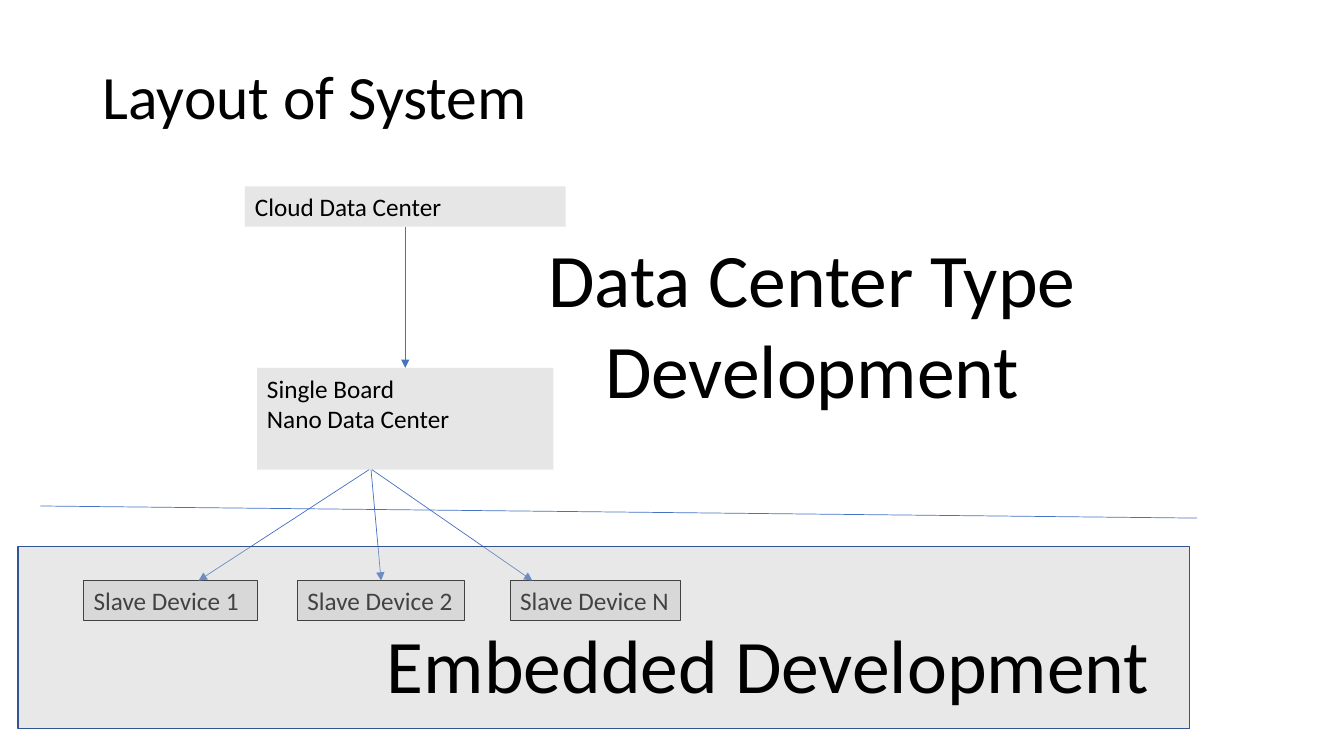
"""Build the slide that shows the layout of the system."""
from pptx import Presentation
from pptx.dml.color import RGBColor
from pptx.enum.shapes import MSO_CONNECTOR as Connector, MSO_SHAPE as Shape
from pptx.enum.text import MSO_ANCHOR as Anchor, PP_ALIGN as Align
from pptx.oxml.ns import qn
from pptx.util import Pt
from lxml.etree import SubElement

EMU_PER_PX = 9144
COLORS = {
    "text": "000000",
    "box": "E7E6E6",
    "outline": "000000",
    "arrow": "4472C4",
    "zone": "BFBFBF",
    "zone_line": "325491",
}


def emu(*lengths):
    return [length * EMU_PER_PX for length in lengths]


def color(name):
    return RGBColor.from_string(COLORS[name])


class Diagram:
    """Holds the style and the slide being drawn."""

    font = "Calibri"

    def __init__(self, slide):
        self.shapes = slide.shapes

    def fill_text(self, shape, text, size, align=Align.LEFT, anchor=Anchor.TOP, wrap=True, spacing=1.0):
        frame = shape.text_frame
        frame.text = text
        frame.word_wrap = wrap
        frame.vertical_anchor = anchor
        for para in frame.paragraphs:
            para.alignment = align
            para.line_spacing = spacing
            for span in para.runs:
                span.font.name = self.font
                span.font.size = Pt(size)
                span.font.color.rgb = color("text")

    def label(self, place, text, size, **style):
        box = self.shapes.add_textbox(*emu(*place))
        self.fill_text(box, text, size, **style)

    def rectangle(self, place, fill, line=None, weight=0.75):
        box = self.shapes.add_shape(Shape.RECTANGLE, *emu(*place))
        box.shadow.inherit = False
        box.fill.solid()
        box.fill.fore_color.rgb = color(fill)
        if line:
            box.line.color.rgb = color(line)
            box.line.width = Pt(weight)
        else:
            box.line.fill.background()
        return box

    def node(self, place, text, line=None, wrap=True):
        box = self.rectangle(place, "box", line)
        self.fill_text(box, text, 18, wrap=wrap)
        return box

    def zone(self, place, opacity):
        box = self.rectangle(place, "zone", "zone_line", 1)
        tint = box._element.spPr.find(qn("a:solidFill"))[0]
        SubElement(tint, qn("a:alpha"), val=str(opacity * 1000))

    def line(self, start, end, arrow=True):
        link = self.shapes.add_connector(Connector.STRAIGHT, *emu(*start, *end))
        link.line.color.rgb = color("arrow")
        link.line.width = Pt(0.5)
        properties = link._element.spPr
        if arrow:
            SubElement(properties.find(qn("a:ln")), qn("a:tailEnd"), type="triangle")
        SubElement(properties, qn("a:effectLst"))
        return link


def main():
    deck = Presentation()
    deck.slide_width, deck.slide_height = emu(1333, 750)
    page = Diagram(deck.slides.add_slide(deck.slide_layouts[6]))

    page.label((92, 40, 1150, 117), "Layout of System", 44, anchor=Anchor.MIDDLE, spacing=0.9)
    nano = page.node((255, 365, 294, 101), "Single Board\nNano Data Center")
    devices = [
        page.node((left, 576, width, 40), f"Slave Device {name}", "outline", wrap=name != "N")
        for name, left, width in (("1", 83, 172), ("2", 295, 166), ("N", 506, 169))
    ]
    cloud = page.node((243, 185, 318, 40), "Cloud Data Center")

    downlink = page.line((402, 225), (402, 365))
    downlink.begin_connect(cloud, 2)
    downlink.end_connect(nano, 0)
    fan = [
        page.line((start, 466), (end, 576))
        for start, end in ((366, 197), (368, 378), (369, 528))
    ]
    fan[1].end_connect(devices[1], 0)
    page.line((40, 502), (1187, 514), arrow=False)

    page.zone((18, 542, 1162, 181), 35)
    page.label((370, 608, 784, 101), "Embedded Development", 54, align=Align.CENTER, wrap=False)
    page.label((531, 225, 549, 192), "Data Center Type\nDevelopment", 54, align=Align.CENTER, wrap=False)

    deck.save("out.pptx")


if __name__ == "__main__":
    main()
